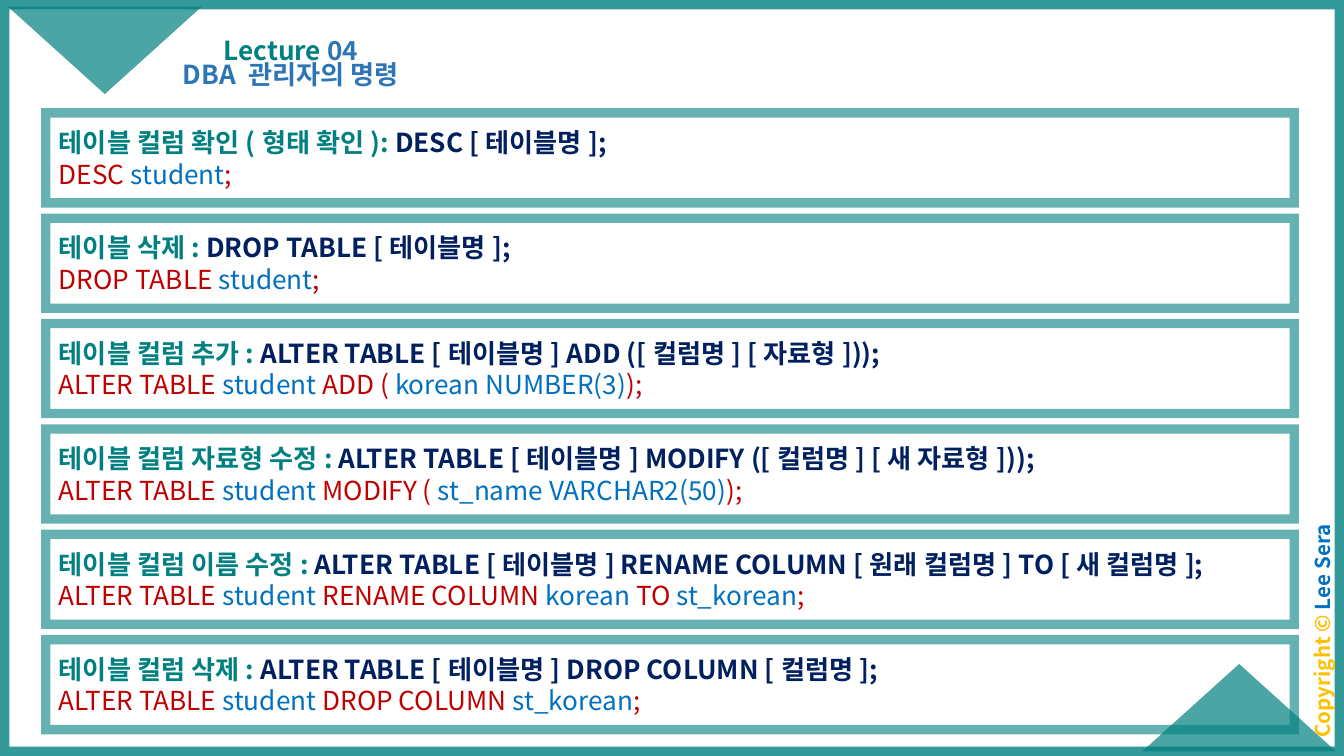
from dataclasses import dataclass
from itertools import cycle
from typing import Any

from lxml.etree import SubElement
from pptx import Presentation
from pptx.dml.color import RGBColor as RGB
from pptx.enum.shapes import MSO_SHAPE as Shape
from pptx.enum.text import MSO_ANCHOR as Anchor, PP_ALIGN as Align
from pptx.oxml.ns import qn
from pptx.util import Inches, Pt


@dataclass(frozen=True)
class Theme:
    font: str = "Noto Sans CJK KR"
    body: int = 14
    small: int = 11
    teal: str = "008080"
    steel: str = "2E75B6"
    navy: str = "002060"
    red: str = "C00000"
    blue: str = "0070C0"
    gold: str = "FFC000"


@dataclass(frozen=True)
class Box:
    left: float
    top: float
    width: float
    height: float

    def emu(self) -> list[int]:
        return [Inches(n) for n in (self.left, self.top, self.width, self.height)]


@dataclass(frozen=True)
class Command:
    label: str
    syntax: str
    sample: str


THEME = Theme()
WIDTH = 10
HEIGHT = WIDTH * 9 / 16
FIRST, LAST = 0.84, 4.76

COMMANDS = [
    Command("테이블 컬럼 확인(형태 확인): ", "DESC [테이블명];", "DESC| student|;"),
    Command("테이블 삭제: ", "DROP TABLE [테이블명];", "DROP TABLE| student|;"),
    Command("테이블 컬럼 추가: ",
            "ALTER TABLE [테이블명] ADD ([컬럼명] [자료형]));",
            "ALTER TABLE| student| ADD ( |korean NUMBER(3)|);"),
    Command("테이블 컬럼 자료형 수정: ",
            "ALTER TABLE [테이블명] MODIFY ([컬럼명] [새 자료형]));",
            "ALTER TABLE| student| MODIFY ( |st_name VARCHAR2(50)|);"),
    Command("테이블 컬럼 이름 수정: ",
            "ALTER TABLE [테이블명] RENAME COLUMN [원래 컬럼명] TO [새 컬럼명];",
            "ALTER TABLE| student| RENAME COLUMN |korean |TO |st_korean|;"),
    Command("테이블 컬럼 삭제: ",
            "ALTER TABLE [테이블명] DROP COLUMN [컬럼명];",
            "ALTER TABLE| student| DROP COLUMN |st_korean|;"),
]


def fade(fill: Any, alpha: int) -> None:
    """Paint a fill teal with the given opacity in percent."""
    fill.solid()
    fill.fore_color.rgb = RGB.from_string(THEME.teal)
    color = fill._xPr.find(qn("a:solidFill"))[0]
    SubElement(color, qn("a:alpha"), val=str(alpha * 1000))


def write(para: Any, parts: list[tuple[str, str]], size: int = THEME.body,
          bold: bool = True, align: Any = Align.LEFT) -> None:
    """Fill a paragraph with coloured runs in one font."""
    para.alignment = align
    font = para.font
    font.name, font.size, font.bold = THEME.font, Pt(size), bold
    SubElement(font._element, qn("a:ea"), typeface=THEME.font)
    for text, color in parts:
        run = para.add_run()
        run.text = text
        run.font.color.rgb = RGB.from_string(color)


def add_frame(slide: Any, box: Box, weight: int, alpha: int) -> Any:
    """Add a hollow rectangle with a translucent, sharp-cornered border."""
    frame = slide.shapes.add_shape(Shape.RECTANGLE, *box.emu())
    frame.shadow.inherit = False
    frame.fill.background()
    frame.line.width = Pt(weight)
    fade(frame.line.fill, alpha)
    SubElement(frame.line._get_or_add_ln(), qn("a:miter"), lim="800000")
    return frame


def add_corner(slide: Any, box: Box, turn: int) -> None:
    """Add a translucent corner triangle."""
    corner = slide.shapes.add_shape(Shape.ISOSCELES_TRIANGLE, *box.emu())
    corner.shadow.inherit = False
    corner.rotation = turn
    corner.line.fill.background()
    fade(corner.fill, 70)


def set_label(shape: Any, box: Box, parts: list[tuple[str, str]],
              size: int = THEME.body, before: float = 0,
              anchor: Any = Anchor.TOP) -> None:
    """Place a text shape and write its centred line."""
    shape.left, shape.top, shape.width, shape.height = box.emu()
    frame = shape.text_frame
    frame.word_wrap, frame.vertical_anchor = True, anchor
    frame.margin_left = frame.margin_right = Inches(0.07)
    frame.margin_top = frame.margin_bottom = Inches(0.04)
    para = frame.paragraphs[0]
    para.line_spacing, para.space_before = 0.9, Pt(before)
    write(para, parts, size, align=Align.CENTER)


def add_panel(slide: Any, top: float, item: Command) -> None:
    """Add a panel with a command's syntax and its sample."""
    panel = add_frame(slide, Box(0.34, top, 9.29, 0.67), 5, 60)
    frame = panel.text_frame
    frame.vertical_anchor = Anchor.MIDDLE
    write(frame.paragraphs[0], [(item.label, THEME.teal), (item.syntax, THEME.navy)])
    hues = cycle((THEME.red, THEME.blue))
    write(frame.add_paragraph(), list(zip(item.sample.split("|"), hues)), bold=False)


def main() -> None:
    """Build and save the slide."""
    deck = Presentation()
    deck.slide_width, deck.slide_height = Inches(WIDTH), Inches(HEIGHT)
    slide = deck.slides.add_slide(deck.slide_layouts[5])
    add_frame(slide, Box(0, 0, WIDTH, HEIGHT), 10, 80)
    add_corner(slide, Box(8.5, 4.94, 1.44, 0.65), 0)
    add_corner(slide, Box(0.06, 0.05, 1.44, 0.65), 180)

    credit_box = Box(8.92, 4.57, 1.86, 0.25)
    credit = slide.shapes.add_textbox(*credit_box.emu())
    credit.rotation = 270
    set_label(credit, credit_box,
              [("Copyright © ", THEME.gold), ("Lee Sera", THEME.blue)], THEME.small, 10)
    set_label(slide.shapes.title, Box(1.4, 0.06, 1.53, 0.47),
              [("Lecture ", THEME.teal), ("04", THEME.steel)], anchor=Anchor.BOTTOM)
    topic_box = Box(1.1, 0.42, 2.13, 0.34)
    topic = slide.shapes.add_textbox(*topic_box.emu())
    set_label(topic, topic_box, [("DBA 관리자의 명령", THEME.steel)], before=7.5)

    step = (LAST - FIRST) / (len(COMMANDS) - 1)
    for row, item in enumerate(COMMANDS):
        add_panel(slide, FIRST + row * step, item)
    deck.save("out.pptx")


main()
